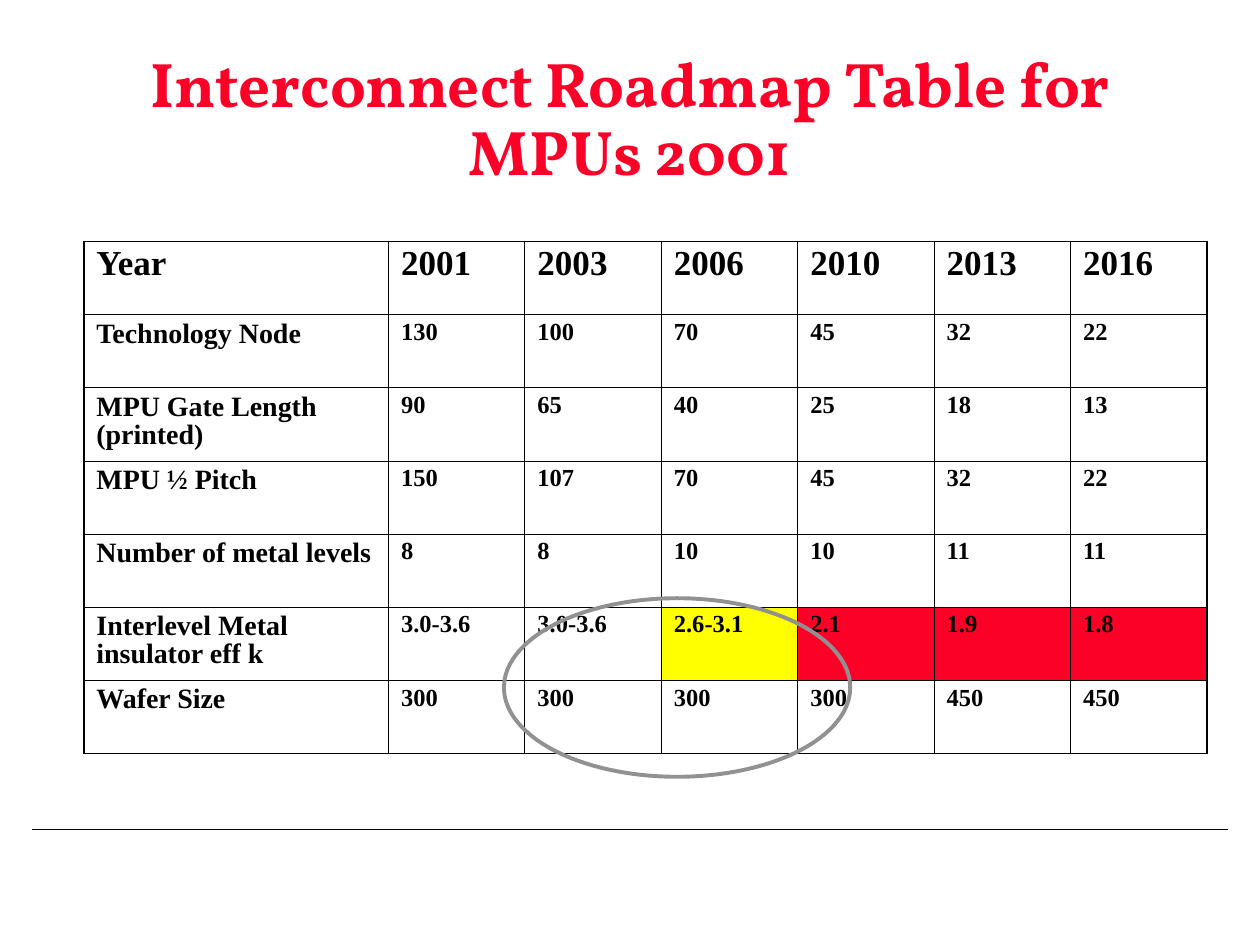
from lxml import etree
from pptx import Presentation
from pptx.dml.color import RGBColor
from pptx.enum.shapes import MSO_CONNECTOR, MSO_SHAPE
from pptx.enum.text import MSO_ANCHOR, MSO_AUTO_SIZE, PP_ALIGN
from pptx.oxml.ns import qn
from pptx.util import Cm, Pt

STRAIGHT = MSO_CONNECTOR.STRAIGHT
OVAL = MSO_SHAPE.OVAL
MIDDLE = MSO_ANCHOR.MIDDLE
NO_AUTOFIT = MSO_AUTO_SIZE.NONE
CENTER = PP_ALIGN.CENTER

BLACK = RGBColor(0x00, 0x00, 0x00)
RED = RGBColor(0xFC, 0x01, 0x28)
YELLOW = RGBColor(0xFF, 0xFF, 0x00)
GRAY = RGBColor(0x91, 0x91, 0x91)
TITLE_FONT = "Vollkorn"
TABLE_FONT = "Times New Roman"

# Content
TITLE = "Interconnect Roadmap Table for MPUs 2001"
ROADMAP = [
    ("Year", "2001", "2003", "2006", "2010", "2013", "2016"),
    ("Technology Node", "130", "100", "70", "45", "32", "22"),
    ("MPU Gate Length (printed)", "90", "65", "40", "25", "18", "13"),
    ("MPU ½ Pitch", "150", "107", "70", "45", "32", "22"),
    ("Number of metal levels", "8", "8", "10", "10", "11", "11"),
    ("Interlevel Metal insulator eff k",
     "3.0-3.6", "3.0-3.6", "2.6-3.1", "2.1", "1.9", "1.8"),
    ("Wafer Size", "300", "300", "300", "300", "450", "450"),
]
CELL_FILLS = {(5, 3): YELLOW, (5, 4): RED, (5, 5): RED, (5, 6): RED}

# Layout
LABEL_WIDTH, YEAR_WIDTH, TABLE_HEIGHT = Cm(6.14), Cm(2.75), Cm(10.32)
INNER_BORDER, OUTER_BORDER = Pt(0.45), Pt(1.08)
HEADER_STYLE = (Pt(20), Pt(7.5))  # font size, space before
LABEL_STYLE = (Pt(16), Pt(6))
VALUE_STYLE = (Pt(14), Pt(5.2))


def add_run(paragraph, text, font_name, size, color):
    run = paragraph.add_run()
    run.text = text
    run.font.name = font_name
    run.font.size = size
    run.font.bold = True
    run.font.color.rgb = color
    paragraph.line_spacing = 0.9


def add_borders(cell, outer_sides):
    properties = cell._tc.get_or_add_tcPr()
    for side, is_outer in outer_sides.items():
        width = OUTER_BORDER if is_outer else INNER_BORDER
        line = etree.SubElement(properties, qn(f"a:ln{side}"), w=str(int(width)))
        fill = etree.SubElement(line, qn("a:solidFill"))
        etree.SubElement(fill, qn("a:srgbClr"), val=str(BLACK))


def add_title(slide):
    title = slide.shapes.title
    title.left, title.top = Cm(1.06), Cm(0.85)
    title.width, title.height = Cm(23.28), Cm(3.18)
    frame = title.text_frame
    frame.auto_size = NO_AUTOFIT
    frame.word_wrap = True
    frame.vertical_anchor = MIDDLE
    paragraph = frame.paragraphs[0]
    paragraph.alignment = CENTER
    add_run(paragraph, TITLE, TITLE_FONT, Pt(36), RED)


def add_roadmap_table(slide):
    row_count, column_count = len(ROADMAP), len(ROADMAP[0])
    last_row, last_column = row_count - 1, column_count - 1
    width = LABEL_WIDTH + last_column * YEAR_WIDTH
    table = slide.shapes.add_table(
        row_count, column_count, Cm(1.69), Cm(4.87), width, TABLE_HEIGHT).table
    table.first_row = False
    table.horz_banding = False
    for index, column in enumerate(table.columns):
        column.width = YEAR_WIDTH if index else LABEL_WIDTH
    for row in table.rows:
        row.height = TABLE_HEIGHT // row_count

    for row, texts in enumerate(ROADMAP):
        for column, text in enumerate(texts):
            cell = table.cell(row, column)
            if row == 0:
                size, space_before = HEADER_STYLE
            else:
                size, space_before = VALUE_STYLE if column else LABEL_STYLE
            paragraph = cell.text_frame.paragraphs[0]
            paragraph.space_before = space_before
            add_run(paragraph, text, TABLE_FONT, size, BLACK)
            add_borders(cell, {"L": column == 0, "R": column == last_column,
                               "T": row == 0, "B": row == last_row})
            color = CELL_FILLS.get((row, column))
            if color is None:
                cell.fill.background()
            else:
                cell.fill.solid()
                cell.fill.fore_color.rgb = color


def main():
    presentation = Presentation()
    presentation.slide_width, presentation.slide_height = Cm(25.4), Cm(19.05)
    slide = presentation.slides.add_slide(presentation.slide_layouts[5])

    # Footer rule
    rule = slide.shapes.add_connector(
        STRAIGHT, Cm(0.64), Cm(16.72), Cm(24.76), Cm(16.72))
    rule.line.color.rgb = BLACK
    rule.line.width = Pt(1)
    etree.SubElement(rule._element.spPr, qn("a:effectLst"))

    add_title(slide)
    add_roadmap_table(slide)

    # Highlight ring
    ring = slide.shapes.add_shape(OVAL, Cm(10.16), Cm(12.06), Cm(6.98), Cm(3.6))
    ring.shadow.inherit = False
    ring.fill.background()
    ring.line.color.rgb = GRAY
    ring.line.width = Pt(2.25)

    presentation.save("out.pptx")


if __name__ == "__main__":
    main()
